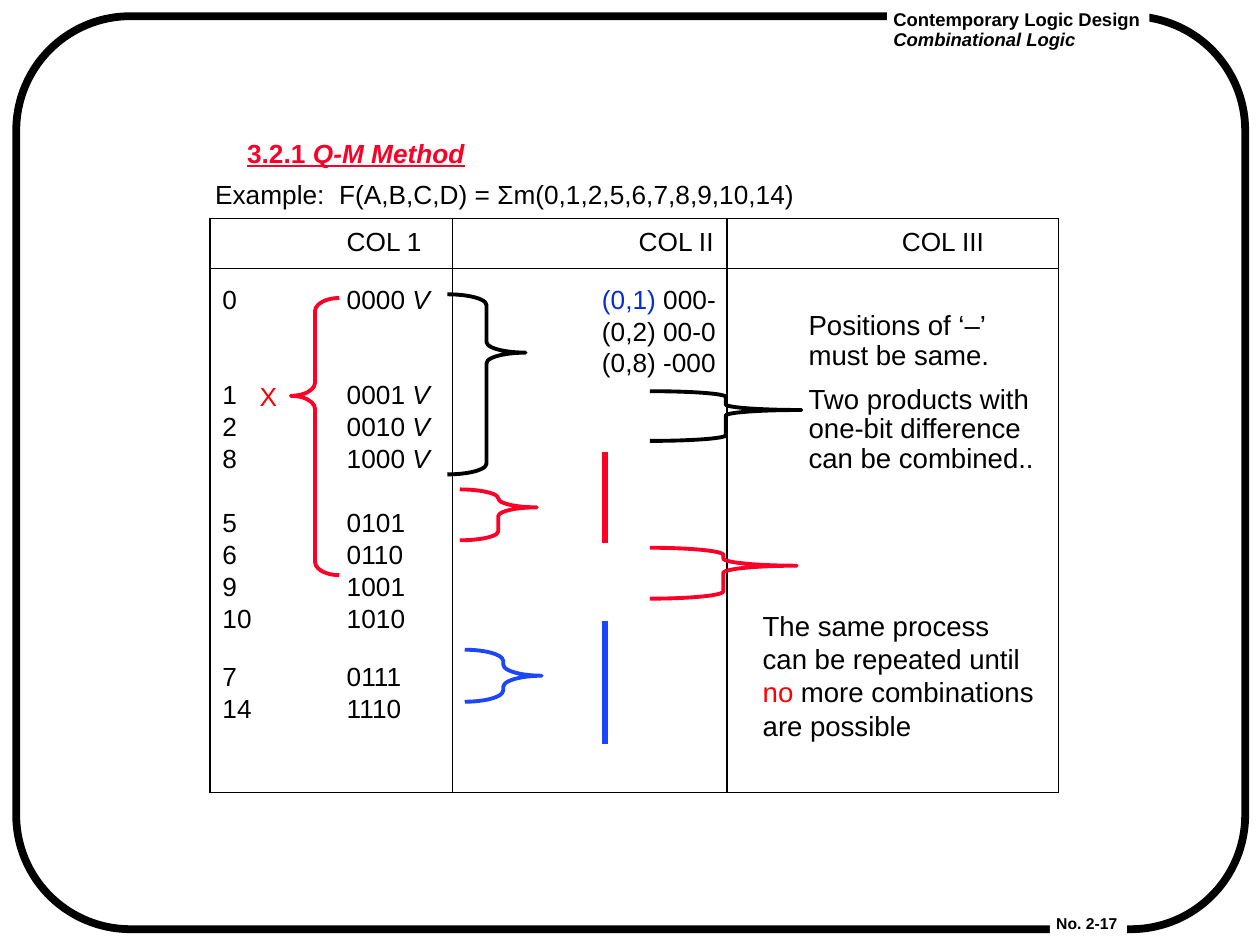
import dataclasses
import typing

import lxml.etree
import pptx
import pptx.dml.color
import pptx.enum.shapes
import pptx.enum.text
import pptx.oxml
import pptx.oxml.ns
import pptx.util

Pt = pptx.util.Pt
RGBColor = pptx.dml.color.RGBColor
Shapes = pptx.enum.shapes.MSO_SHAPE

BLACK = RGBColor(0x00, 0x00, 0x00)
WHITE = RGBColor(0xFF, 0xFF, 0xFF)
CRIMSON = RGBColor(0xFC, 0x01, 0x28)
RED = RGBColor(0xFF, 0x00, 0x00)
BLUE = RGBColor(0x1C, 0x46, 0xFA)
NAVY = RGBColor(0x05, 0x2D, 0xD5)
FONT = "Arial"
TERM_SIZE = 15.2
TERM_PITCH = 18.5
CODE_TAB = 72
CELL_INSET = 7.2


@dataclasses.dataclass
class Run:
    text: str
    color: typing.Optional[RGBColor] = None
    italic: bool = False


@dataclasses.dataclass
class Line:
    runs: list[Run]
    gap: float = 0


@dataclasses.dataclass
class Box:
    left: float
    top: float
    width: float
    height: float

    def lengths(self) -> list[int]:
        return [Pt(self.left), Pt(self.top), Pt(self.width), Pt(self.height)]


@dataclasses.dataclass
class Brace:
    box: Box
    color: RGBColor
    curl: float
    tip: float
    kind: Shapes = Shapes.RIGHT_BRACE


@dataclasses.dataclass
class Bar:
    x: float
    top: float
    bottom: float
    color: RGBColor


@dataclasses.dataclass
class Term:
    number: int
    checked: bool = False
    gap: float = 0

    def line(self) -> Line:
        runs = [Run(f"{self.number}\t{self.number:04b}")]
        if self.checked:
            runs.append(Run(" V", italic=True))
        return Line(runs, self.gap)


BRACES = [
    Brace(Box(269.3, 376.6, 44.6, 30.2), BLUE, 0.216, 0.5),
    Brace(Box(266.4, 283.7, 44.6, 29.5), CRIMSON, 0.27, 0.353),
    Brace(Box(259.2, 170.6, 45.4, 104.4), BLACK, 0.136, 0.324),
    Brace(Box(376.6, 226.8, 87.8, 28.8), BLACK, 0.113, 0.378),
    Brace(Box(376.6, 317.5, 85, 29.5), CRIMSON, 0.142, 0.353),
    Brace(Box(168.5, 172.8, 28.1, 160.6), CRIMSON, 0.271, 0.353, Shapes.LEFT_BRACE),
]
BARS = [Bar(350.6, 262.1, 314.6, CRIMSON), Bar(350.6, 360, 431.3, BLUE)]
TERMS = [
    Term(0, True), Term(1, True, 37), Term(2, True), Term(8, True),
    Term(5, gap=18.5), Term(6), Term(9), Term(10),
    Term(7, gap=15), Term(14),
]
PAIRS = [
    Line([Run("(0,1)", NAVY), Run(" 000-")]),
    Line([Run("(0,2) 00-0")]),
    Line([Run("(0,8) -000")]),
]


def write_text(frame, lines: list[Line], *, size: float = TERM_SIZE, pitch: float = TERM_PITCH,
               color: RGBColor = BLACK, bold: bool = False, underline: bool = False,
               tab: typing.Optional[float] = None) -> None:
    for index, line in enumerate(lines):
        paragraph = frame.paragraphs[0] if index == 0 else frame.add_paragraph()
        paragraph.alignment = pptx.enum.text.PP_ALIGN.LEFT
        paragraph.line_spacing = Pt(pitch)
        paragraph.space_before = Pt(line.gap)
        if tab is not None:
            tabs = lxml.etree.SubElement(paragraph._p.get_or_add_pPr(), pptx.oxml.ns.qn("a:tabLst"))
            lxml.etree.SubElement(tabs, pptx.oxml.ns.qn("a:tab"), pos=str(Pt(tab)), algn="l")
        for piece in line.runs:
            run = paragraph.add_run()
            run.text = piece.text
            run.font.name = FONT
            run.font.size = Pt(size)
            run.font.bold = bold
            run.font.italic = piece.italic
            run.font.underline = underline
            run.font.color.rgb = piece.color or color


def set_frame(frame, *, side: float = 7.2, ends: float = 3.6, wrap: bool = True) -> None:
    frame.auto_size = pptx.enum.text.MSO_AUTO_SIZE.NONE
    frame.vertical_anchor = pptx.enum.text.MSO_ANCHOR.TOP
    frame.word_wrap = wrap
    frame.margin_left = frame.margin_right = Pt(side)
    frame.margin_top = frame.margin_bottom = Pt(ends)


def add_note(slide, box: Box, lines: list[Line], *, side: float = 7.2, ends: float = 3.6,
             wrap: bool = True, fill: typing.Optional[RGBColor] = None, **text_format) -> None:
    note = slide.shapes.add_textbox(*box.lengths())
    if fill is not None:
        note.fill.solid()
        note.fill.fore_color.rgb = fill
    set_frame(note.text_frame, side=side, ends=ends, wrap=wrap)
    write_text(note.text_frame, lines, **text_format)


def add_outline(slide, kind: Shapes, box: Box, color: RGBColor, width: float,
                adjustments: list[float]) -> None:
    outline = slide.shapes.add_shape(kind, *box.lengths())
    outline.shadow.inherit = False
    outline.fill.background()
    outline.line.color.rgb = color
    outline.line.width = Pt(width)
    for index, value in enumerate(adjustments):
        outline.adjustments[index] = value


def add_bar(slide, bar: Bar) -> None:
    divider = slide.shapes.add_connector(pptx.enum.shapes.MSO_CONNECTOR.STRAIGHT,
                                         Pt(bar.x), Pt(bar.top), Pt(bar.x), Pt(bar.bottom))
    divider.line.color.rgb = bar.color
    divider.line.width = Pt(3)
    lxml.etree.SubElement(divider._element.spPr, pptx.oxml.ns.qn("a:effectLst"))


def border_cell(cell) -> None:
    cell.fill.background()
    properties = cell._tc.get_or_add_tcPr()
    for index, side in enumerate(("lnL", "lnR", "lnT", "lnB")):
        border = pptx.oxml.parse_xml(
            f'<a:{side} {pptx.oxml.ns.nsdecls("a")} w="{Pt(1)}"><a:solidFill>'
            f'<a:srgbClr val="{BLACK}"/></a:solidFill></a:{side}>')
        properties.insert(index, border)


def add_minterm_table(slide) -> None:
    box = Box(121.7, 126.7, 491.7, 332.6)
    table = slide.shapes.add_table(2, 3, *box.lengths()).table
    table.first_row = table.horz_banding = False
    for column, width in zip(table.columns, (140.4, 159.1, 192.2)):
        column.width = Pt(width)
    for row, height in zip(table.rows, (28.8, 303.8)):
        row.height = Pt(height)
    headings = [[Line([Run(name)])] for name in ("COL 1", "COL II", "COL III")]
    entries = [[term.line() for term in TERMS], PAIRS, []]
    indents = [(CELL_INSET + CODE_TAB, 108, 101.4), (CELL_INSET, 86.7, CELL_INSET)]
    for row, (texts, row_indents, top) in enumerate(zip((headings, entries), indents, (3.7, 8.4))):
        for column, (lines, indent) in enumerate(zip(texts, row_indents)):
            cell = table.cell(row, column)
            border_cell(cell)
            cell.margin_left, cell.margin_top = Pt(indent), Pt(top)
            cell.margin_right = cell.margin_bottom = Pt(0)
            write_text(cell.text_frame, lines, tab=CODE_TAB)


def main() -> None:
    deck = pptx.Presentation()
    deck.slide_width, deck.slide_height = Pt(730.08), Pt(547.2)
    slide = deck.slides.add_slide(deck.slide_layouts[5])

    heading = slide.shapes.title
    heading.left, heading.top, heading.width, heading.height = Box(138.2, 79.9, 137.5, 19.4).lengths()
    set_frame(heading.text_frame, side=5, ends=2.2, wrap=False)
    write_text(heading.text_frame, [Line([Run("3.2.1 "), Run("Q-M Method", italic=True)])],
               pitch=15.5, color=CRIMSON, bold=True, underline=True)

    add_outline(slide, Shapes.ROUNDED_RECTANGLE, Box(9.4, 9.4, 712.1, 529.2), BLACK, 4.5, [0.125])
    label = {"side": 3.6, "ends": 1.44, "wrap": False}
    add_note(slide, Box(514.1, 4.3, 151.9, 26.6),
             [Line([Run("Contemporary Logic Design")]), Line([Run("Combinational Logic", italic=True)])],
             size=10.7, pitch=11.6, bold=True, fill=WHITE, **label)
    add_note(slide, Box(608.4, 528.5, 44.6, 13.7), [Line([Run("No. 2-17")])],
             size=9.1, pitch=10.6, bold=True, fill=WHITE, **label)
    add_note(slide, Box(121, 104.4, 347, 18.7),
             [Line([Run("Example:  F(A,B,C,D) = Σm(0,1,2,5,6,7,8,9,10,14)")])], pitch=15.5, **label)

    add_minterm_table(slide)
    for bar in BARS:
        add_bar(slide, bar)
    for brace in BRACES:
        add_outline(slide, brace.kind, brace.box, brace.color, 2.25, [brace.curl, brace.tip])

    add_note(slide, Box(461.5, 177.1, 153.4, 104.4),
             [Line([Run("Positions of ‘–’ must be same.")]),
              Line([Run("Two products with one-bit difference can be combined..")], 8.4)],
             size=16, pitch=17.1)
    add_note(slide, Box(143.3, 216.7, 25.2, 25.9), [Line([Run("X", RED)])])
    add_note(slide, Box(434.9, 349.2, 172.8, 85),
             [Line([Run("The same process can be repeated until "), Run("no", RED),
                    Run(" more combinations are possible")])],
             size=16, pitch=19.3)
    deck.save("out.pptx")


if __name__ == "__main__":
    main()
